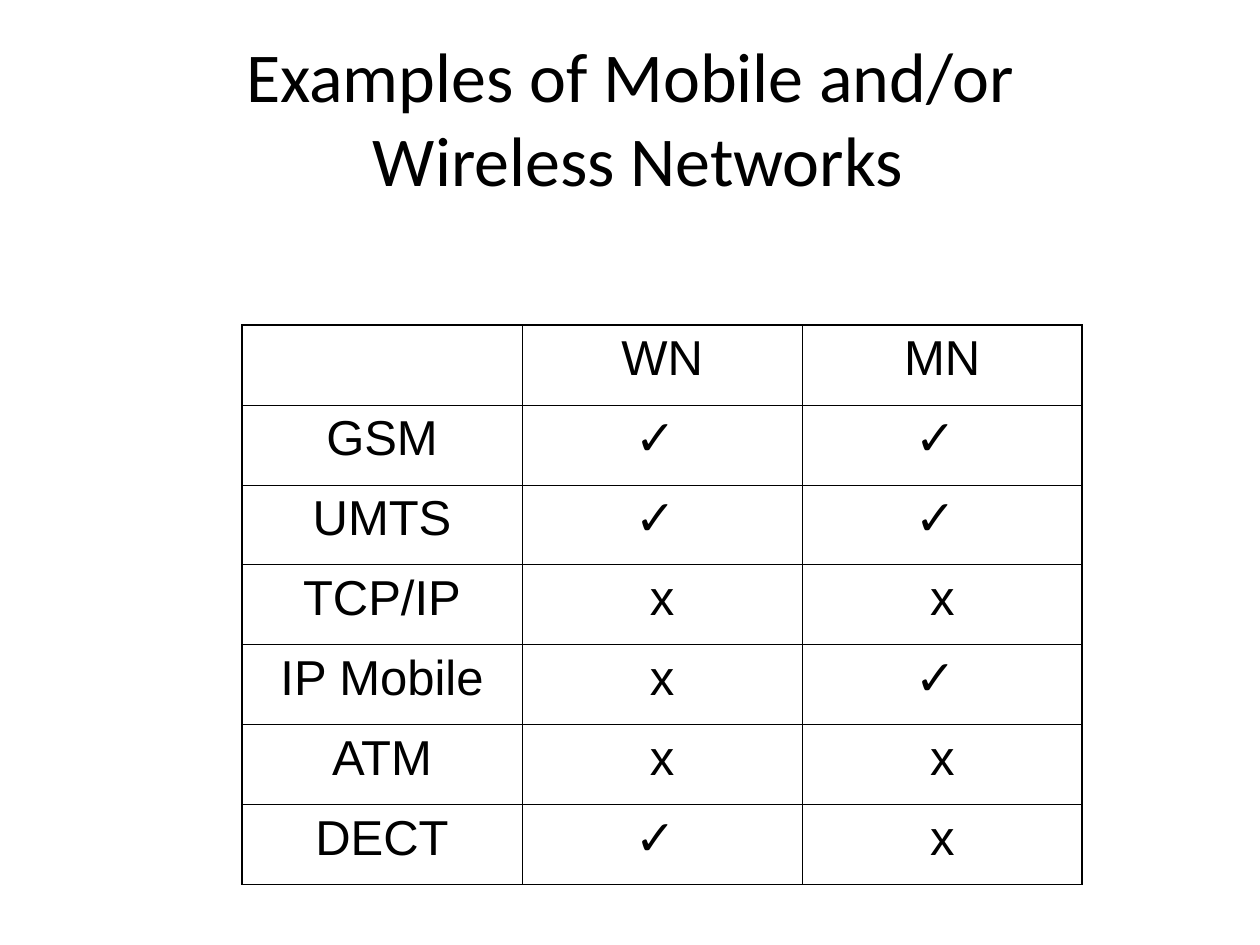
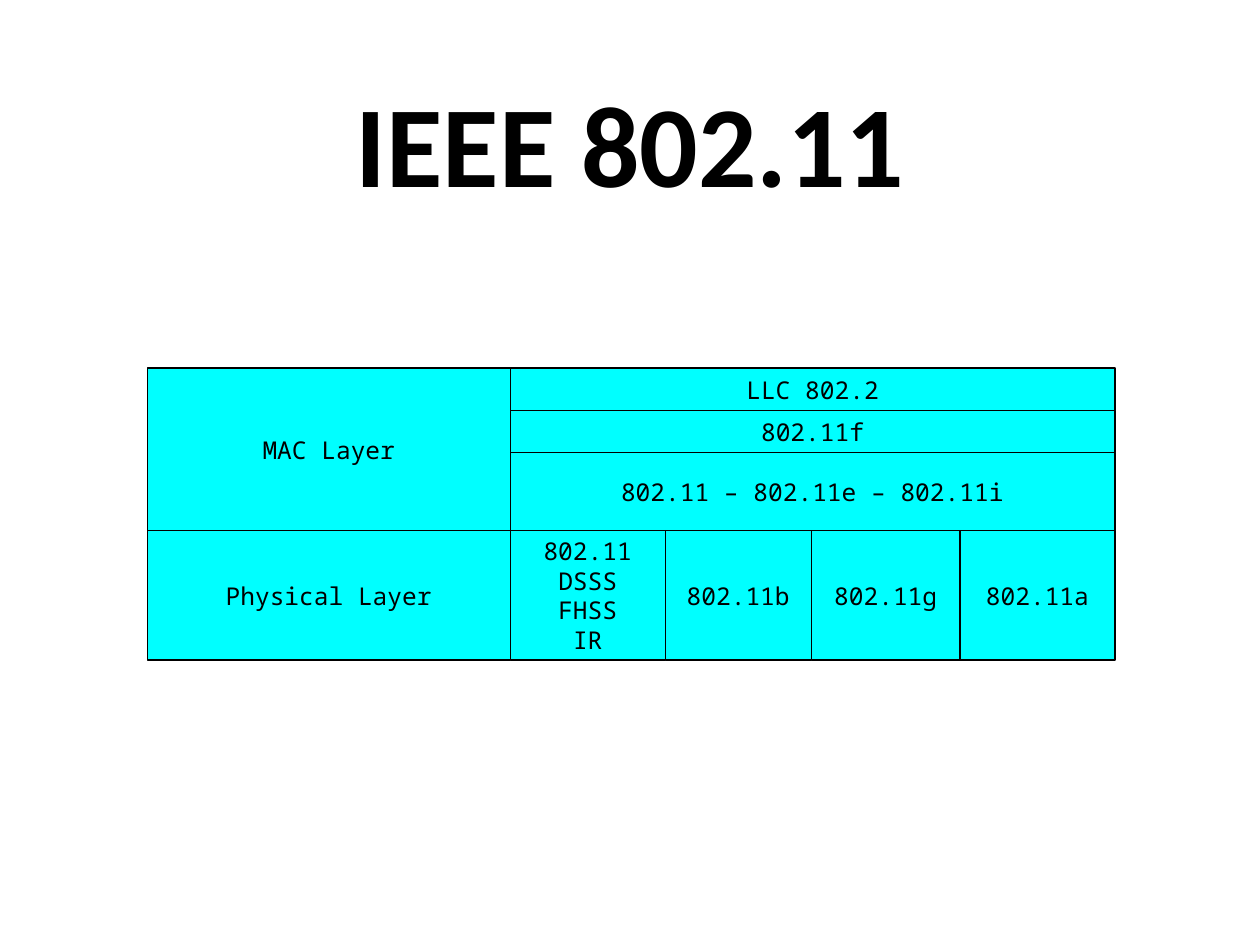
from pptx import Presentation
from pptx.dml.color import RGBColor
from pptx.enum.shapes import MSO_SHAPE
from pptx.enum.text import MSO_ANCHOR, PP_ALIGN
from pptx.oxml import parse_xml
from pptx.oxml.ns import nsdecls
from pptx.util import Inches, Pt

BLACK = RGBColor(0x00, 0x00, 0x00)
CYAN = RGBColor(0x00, 0xFF, 0xFF)
TITLE_FONT, TABLE_FONT, LAYER_FONT = "Calibri", "Arial", "Noto Sans Mono"

# Slide 1: which networks are wireless (WN) and mobile (MN)
NETWORKS_TITLE = ["Examples of Mobile and/or", " Wireless Networks"]
NETWORKS = [
    ("", "WN", "MN"),
    ("GSM", "✓", "✓"),
    ("UMTS", "✓", "✓"),
    ("TCP/IP", "x", "x"),
    ("IP Mobile", "x", "✓"),
    ("ATM", "x", "x"),
    ("DECT", "✓", "x"),
]
OUTER, INNER = 1.08, 0.45

# Slide 2: layer blocks as (lines, first column, last column, first row, last row)
LAYERS_TITLE = ["IEEE 802.11"]
COL_EDGES = [1.17, 4.05, 5.28, 6.44, 7.62, 8.85]
ROW_EDGES = [2.92, 3.26, 3.59, 4.21, 5.24]
LAYERS = [
    (["802.11", "DSSS", "FHSS", "IR"], 1, 1, 3, 3),
    (["802.11b"], 2, 2, 3, 3),
    (["802.11g"], 3, 3, 3, 3),
    (["802.11a"], 4, 4, 3, 3),
    (["802.11 – 802.11e – 802.11i"], 1, 4, 2, 2),
    (["802.11f"], 1, 4, 1, 1),
    (["MAC Layer"], 0, 0, 0, 2),
    (["Physical Layer"], 0, 0, 3, 3),
    (["LLC 802.2"], 1, 4, 0, 0),
]


def add_run(p, text, font, size, bold=False):
    p.alignment = PP_ALIGN.CENTER
    r = p.add_run()
    r.text = text
    r.font.name, r.font.size, r.font.bold = font, Pt(size), bold
    r.font.color.rgb = BLACK


def add_title(s, lines, box, size, bold=False):
    tf = s.shapes.add_textbox(*map(Inches, box)).text_frame
    tf.word_wrap = True
    tf.vertical_anchor = MSO_ANCHOR.MIDDLE
    tf.margin_left = tf.margin_right = tf.margin_top = tf.margin_bottom = 0
    p = tf.paragraphs[0]
    for i, line in enumerate(lines):
        if i:
            p.add_line_break()
        add_run(p, line, TITLE_FONT, size, bold)


def set_borders(cell, widths):
    """Draw the left, right, top and bottom borders, widths in points."""
    tcPr = cell._tc.get_or_add_tcPr()
    for i, (side, width) in enumerate(zip("LRTB", widths)):
        tcPr.insert(i, parse_xml(
            f'<a:ln{side} {nsdecls("a")} w="{Pt(width)}"><a:solidFill>'
            f'<a:srgbClr val="{BLACK}"/></a:solidFill></a:ln{side}>'))


def set_bullet(p, char):
    pPr = p._p.get_or_add_pPr()
    pPr.append(parse_xml(f'<a:buFont {nsdecls("a")} typeface="{TABLE_FONT}"/>'))
    pPr.append(parse_xml(f'<a:buChar {nsdecls("a")} char="{char}"/>'))


def add_network_table(s):
    n_rows, n_cols = len(NETWORKS), len(NETWORKS[0])
    table = s.shapes.add_table(n_rows, n_cols, Inches(1.92), Inches(2.58),
                               Inches(6.67), Inches(4.44)).table
    table.first_row = table.horz_banding = False
    for i, row in enumerate(NETWORKS):
        for j, text in enumerate(row):
            cell = table.cell(i, j)
            cell.fill.background()
            at_edge = (j == 0, j == n_cols - 1, i == 0, i == n_rows - 1)
            set_borders(cell, [OUTER if edge else INNER for edge in at_edge])
            p = cell.text_frame.paragraphs[0]
            if text == "✓":
                # A check mark is the bullet of an otherwise blank entry
                set_bullet(p, text)
                text = " "
            if text:
                add_run(p, text, TABLE_FONT, 28)


def add_layer(group, lines, col, last_col, row, last_row):
    left, right = COL_EDGES[col], COL_EDGES[last_col + 1]
    top, bottom = ROW_EDGES[row], ROW_EDGES[last_row + 1]
    sp = group.shapes.add_shape(MSO_SHAPE.RECTANGLE, Inches(left), Inches(top),
                                Inches(right - left), Inches(bottom - top))
    sp.shadow.inherit = False
    sp.fill.solid()
    sp.fill.fore_color.rgb = CYAN
    sp.line.color.rgb = BLACK
    sp.line.width = Pt(0.75)
    tf = sp.text_frame
    tf.word_wrap = False
    tf.vertical_anchor = MSO_ANCHOR.MIDDLE
    for i, line in enumerate(lines):
        p = tf.add_paragraph() if i else tf.paragraphs[0]
        add_run(p, line, LAYER_FONT, 14)


def main():
    prs = Presentation()
    prs.slide_width, prs.slide_height = Inches(10), Inches(7.5)
    blank = prs.slide_layouts[6]

    # Network examples
    s = prs.slides.add_slide(blank)
    add_title(s, NETWORKS_TITLE, (0.5, 0.3, 9, 1.25), 40)
    add_network_table(s)

    # Layer diagram
    s = prs.slides.add_slide(blank)
    add_title(s, LAYERS_TITLE, (0.18, 0.5, 9.65, 1.25), 66, bold=True)
    group = s.shapes.add_group_shape()
    for layer in LAYERS:
        add_layer(group, *layer)

    prs.save("out.pptx")


if __name__ == "__main__":
    main()
